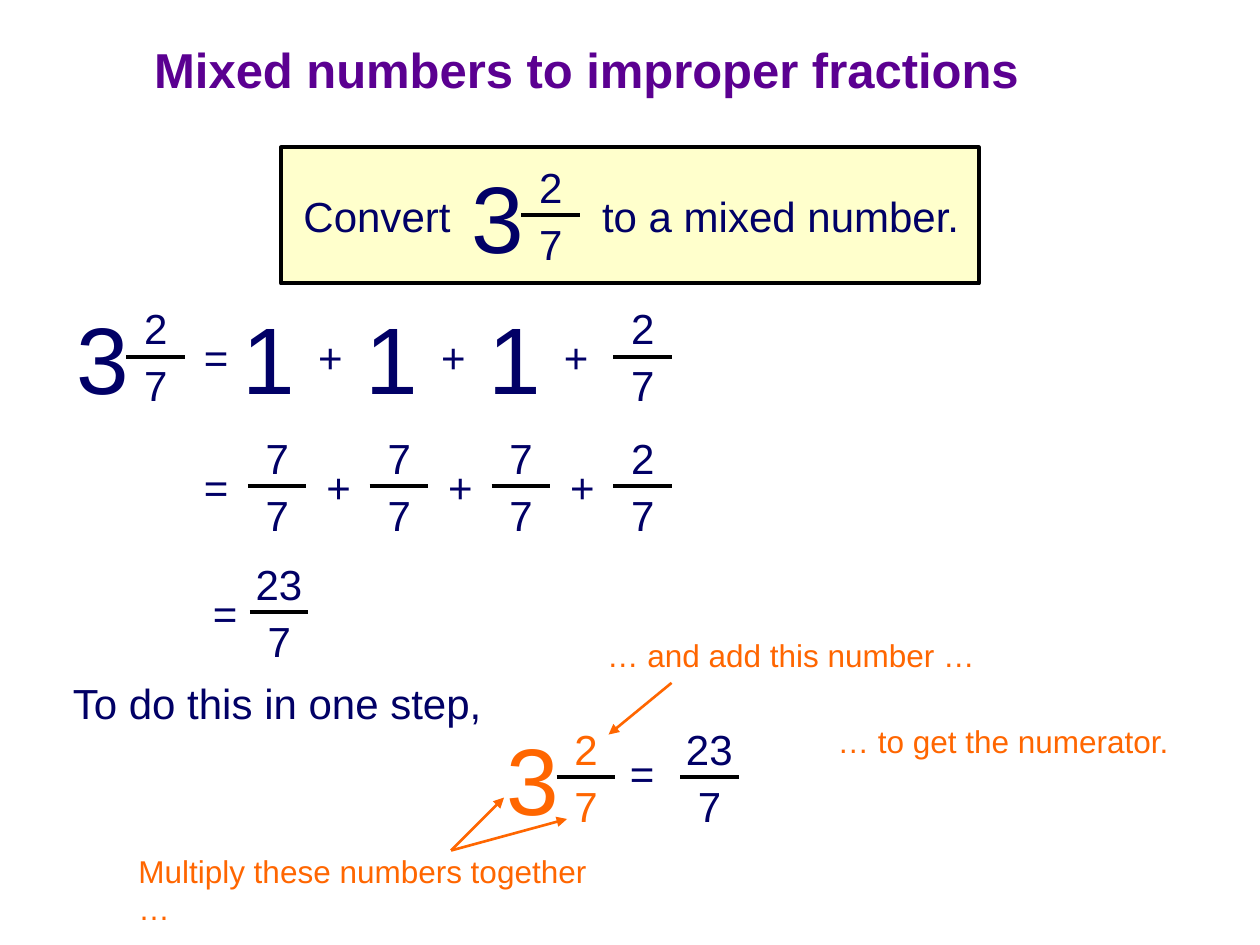
from typing import NamedTuple, Optional

from lxml import etree
from pptx import Presentation
from pptx.dml.color import RGBColor
from pptx.enum.shapes import MSO_CONNECTOR, MSO_SHAPE
from pptx.enum.text import MSO_ANCHOR, PP_ALIGN
from pptx.oxml.ns import qn
from pptx.util import Inches, Pt

LEFT, CENTER = PP_ALIGN.LEFT, PP_ALIGN.CENTER
TOP, MIDDLE = MSO_ANCHOR.TOP, MSO_ANCHOR.MIDDLE
STRAIGHT, RECTANGLE = MSO_CONNECTOR.STRAIGHT, MSO_SHAPE.RECTANGLE

FONT = "Arial"
NAVY, PURPLE, ORANGE = "010066", "5B0091", "FF6600"
BLACK, CREAM = "000000", "FFFFCC"

# The page is a grid of 100 columns by 75 rows
COLUMNS, ROWS = 100, 75
deck = Presentation()
deck.slide_width, deck.slide_height = Inches(10), Inches(7.5)
page = deck.slides.add_slide(deck.slide_layouts[6])
CELL = deck.slide_width / COLUMNS

BAR_WIDTH = 4.65
WHOLE_OFFSET = 4.25     # from the centre of a fraction to its whole number
ONE_STEP, SEVENTHS_STEP = 9.75, 9.67
PLUS_OFFSET = 4.87


class Fraction(NamedTuple):
    center: float
    row: float
    top: str
    bottom: str = "7"
    whole: Optional[str] = None
    color: str = NAVY


class Label(NamedTuple):
    text: str
    column: float
    row: float
    width: float
    size: int
    color: str


class Arrow(NamedTuple):
    start: tuple[float, float]
    end: tuple[float, float]


def grid(cells: float) -> int:
    return round(cells * CELL)


def rgb(color: str) -> RGBColor:
    return RGBColor.from_string(color)


def add_text(text: str, column: float, row: float, width: float, height: float, *,
             size: int = 24, color: str = NAVY, bold: bool = False,
             align: PP_ALIGN = LEFT, anchor: MSO_ANCHOR = TOP,
             tab: Optional[float] = None) -> None:
    box = page.shapes.add_textbox(grid(column), grid(row), grid(width), grid(height))
    box.text_frame.word_wrap = False
    box.text_frame.vertical_anchor = anchor
    para = box.text_frame.paragraphs[0]
    para.alignment = align
    if tab is not None:
        stops = etree.SubElement(para._p.get_or_add_pPr(), qn("a:tabLst"))
        etree.SubElement(stops, qn("a:tab"), pos=str(grid(tab)), algn="l")
    span = para.add_run()
    span.text = text
    span.font.name, span.font.size, span.font.bold = FONT, Pt(size), bold
    span.font.color.rgb = rgb(color)


def add_line(start: tuple[float, float], end: tuple[float, float], *,
             color: str = BLACK, width: float = 2.25, arrow: bool = False) -> None:
    line = page.shapes.add_connector(STRAIGHT, *map(grid, start + end))
    line.line.color.rgb = rgb(color)
    line.line.width = Pt(width)
    if arrow:
        etree.SubElement(line.line._get_or_add_ln(), qn("a:tailEnd"), type="triangle")
    etree.SubElement(line._element.spPr, qn("a:effectLst"))


def add_symbol(text: str, center: float, row: float) -> None:
    add_text(text, center - 1.95, row, 3.9, 5, align=CENTER)


def add_whole(text: str, center: float, bar_row: float, color: str = NAVY) -> None:
    add_text(text, center - 3.05, bar_row - 5, 6.1, 10, size=54, color=color, align=CENTER)


def add_fraction(item: Fraction) -> None:
    for digits, row in ((item.top, item.row - 4.8), (item.bottom, item.row - 0.25)):
        width = 3.8 if len(digits) == 1 else 5.7
        add_text(digits, item.center - width / 2, row, width, 5,
                 color=item.color, align=CENTER)
    add_line((item.center - BAR_WIDTH / 2, item.row), (item.center + BAR_WIDTH / 2, item.row))
    if item.whole:
        add_whole(item.whole, item.center - WHOLE_OFFSET, item.row, item.color)


# Title
add_text("Mixed numbers to improper fractions", 1.15, 1.7, 90.8, 7.5,
         size=28, color=PURPLE, bold=True, align=CENTER, anchor=MIDDLE)

# Question panel
panel = page.shapes.add_shape(RECTANGLE, grid(22.3), grid(11.7), grid(55.4), grid(10.8))
panel.shadow.inherit = False
panel.fill.solid()
panel.fill.fore_color.rgb = rgb(CREAM)
panel.line.color.rgb = rgb(BLACK)
panel.line.width = Pt(2.25)
add_text("Convert\tto a mixed number.", 23.1, 14.6, 54.2, 5, tab=23.7)

# Fractions
ONES_ROW, SEVENTHS_ROW, RESULT_ROW, STEP_ROW = 28.3, 38.6, 48.6, 61.7
FRACTIONS = [
    Fraction(43.7, 17.1, "2", whole="3"),
    Fraction(12.35, ONES_ROW, "2", whole="3"),
    Fraction(51, ONES_ROW, "2"),
    *(Fraction(22 + i * SEVENTHS_STEP, SEVENTHS_ROW, top) for i, top in enumerate("7772")),
    Fraction(22.15, RESULT_ROW, "23"),
    Fraction(46.5, STEP_ROW, "2", whole="3", color=ORANGE),
    Fraction(56.3, STEP_ROW, "23"),
]
for fraction in FRACTIONS:
    add_fraction(fraction)

# Equals signs, ones and plus signs
for center, row in ((17.15, ONES_ROW - 2.5), (17.15, SEVENTHS_ROW - 2.5),
                    (17.85, RESULT_ROW - 2.5), (50.95, STEP_ROW - 2.9)):
    add_symbol("=", center, row)
for i in range(3):
    one_center = 21.35 + i * ONE_STEP
    add_whole("1", one_center, ONES_ROW)
    add_symbol("+", one_center + PLUS_OFFSET, ONES_ROW - 2.5)
    add_symbol("+", 22 + i * SEVENTHS_STEP + PLUS_OFFSET, SEVENTHS_ROW - 2.5)

# One-step method: labels and arrows
LABELS = [
    Label("To do this in one step,", 4.8, 53.3, 34.8, 24, NAVY),
    Label("Multiply these numbers together …", 10, 67.1, 40.7, 18, ORANGE),
    Label("… and add this number …", 47.2, 50, 31.2, 18, ORANGE),
    Label("… to get the numerator.", 65.5, 56.8, 28.4, 18, ORANGE),
]
for label in LABELS:
    add_text(label.text, label.column, label.row, label.width, label.size / 4.8,
             size=label.size, color=label.color)

ARROWS = [
    Arrow((53.3, 54.2), (48.3, 58.3)),
    Arrow((35.8, 67.5), (40, 63.3)),
    Arrow((35.8, 67.5), (45, 65)),
]
for arrow in ARROWS:
    add_line(arrow.start, arrow.end, color=ORANGE, width=1.5, arrow=True)

deck.save("out.pptx")
